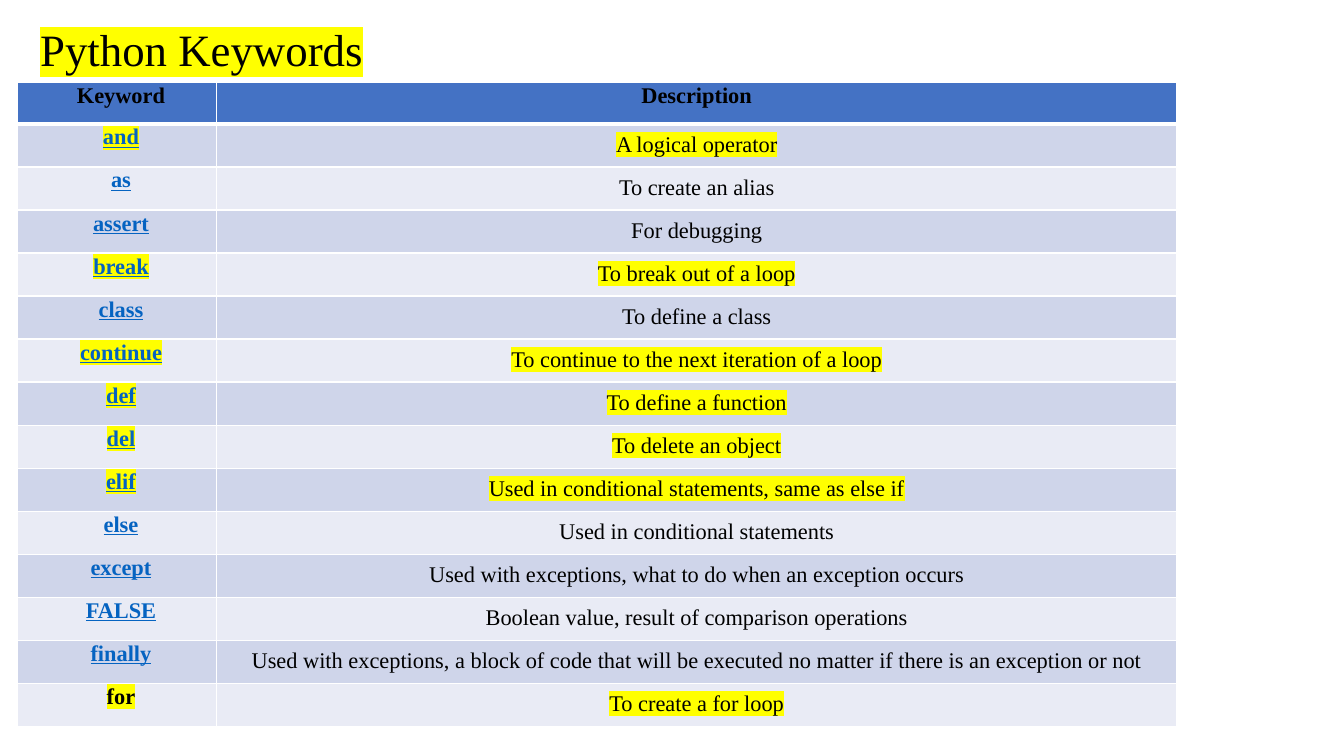
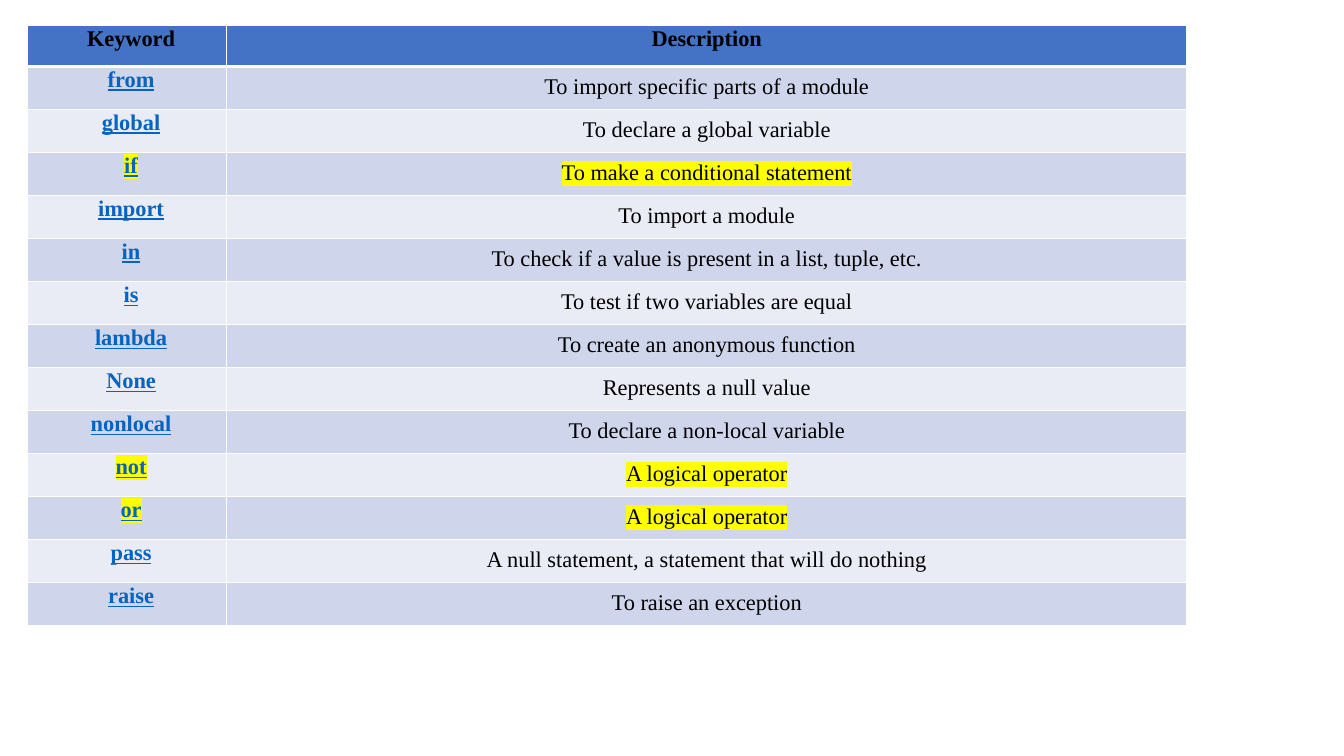
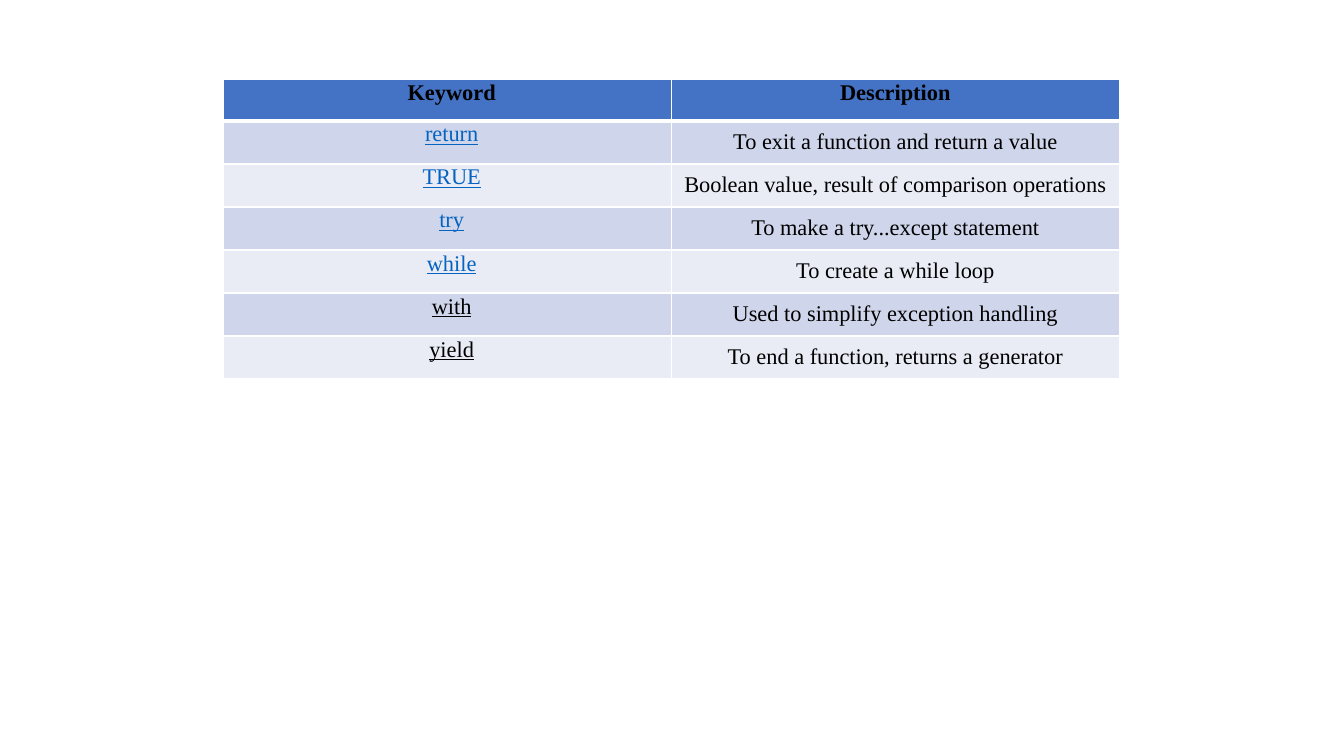
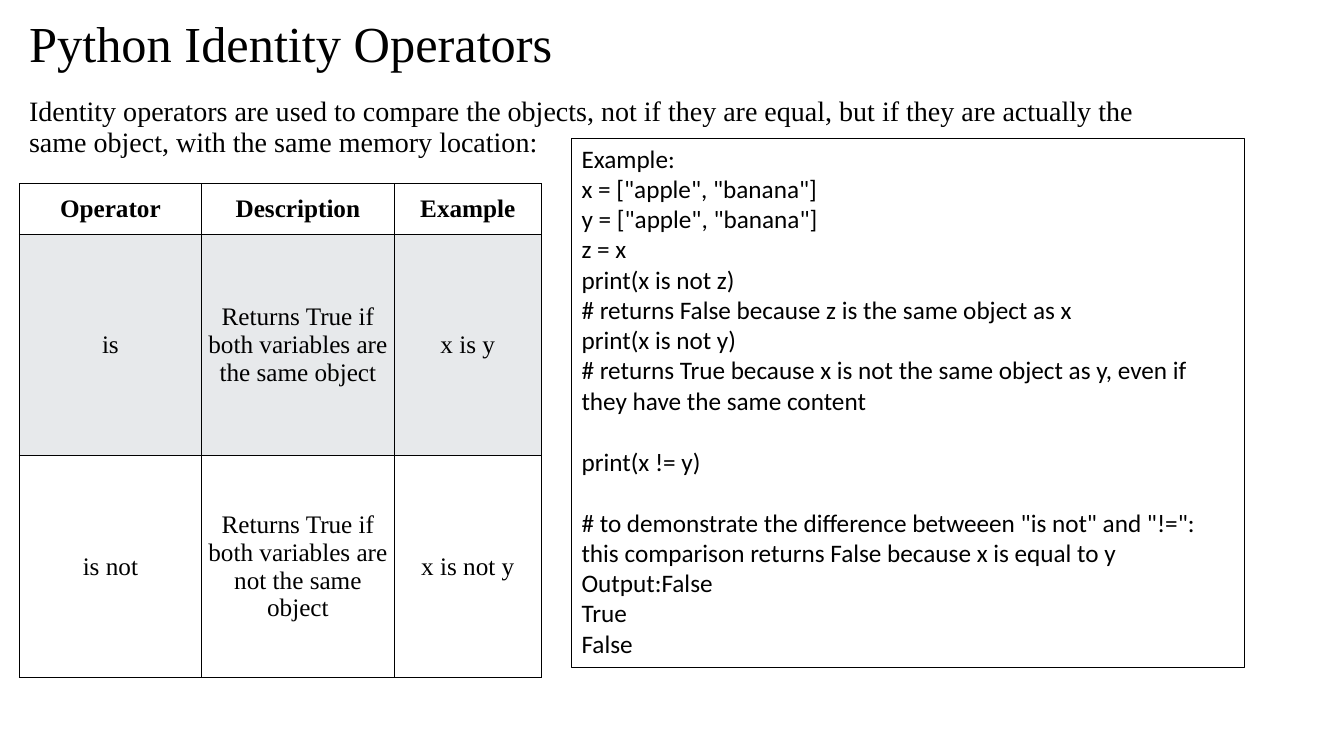
from pptx import Presentation
from pptx.dml.color import RGBColor
from pptx.enum.shapes import MSO_SHAPE
from pptx.enum.text import MSO_ANCHOR as ANCHOR, PP_ALIGN as ALIGN
from pptx.oxml.ns import qn
from pptx.util import Inches, Pt
from lxml.etree import SubElement

BLACK, WHITE, YELLOW = "000000", "FFFFFF", "FFFF00"
LINK, HEADER_BLUE, GREY = "0563C1", "4472C4", "E7E9EB"
BANDS = ("CFD5EA", "E9EBF5")
SERIF, SANS = "Times New Roman", "Calibri"

HIGHLIGHTED = {"and", "break", "continue", "def", "del", "elif", "for",
               "if", "not", "or"}
BLACK_KEYWORDS = {"for", "with", "yield"}

KEYWORDS_AND_TO_FOR = [
    ("and", "A logical operator"),
    ("as", "To create an alias"),
    ("assert", "For debugging"),
    ("break", "To break out of a loop"),
    ("class", "To define a class"),
    ("continue", "To continue to the next iteration of a loop"),
    ("def", "To define a function"),
    ("del", "To delete an object"),
    ("elif", "Used in conditional statements, same as else if"),
    ("else", "Used in conditional statements"),
    ("except", "Used with exceptions, what to do when an exception occurs"),
    ("FALSE", "Boolean value, result of comparison operations"),
    ("finally", "Used with exceptions, a block of code that will be executed "
                "no matter if there is an exception or not"),
    ("for", "To create a for loop"),
]
KEYWORDS_FROM_TO_RAISE = [
    ("from", "To import specific parts of a module"),
    ("global", "To declare a global variable"),
    ("if", "To make a conditional statement"),
    ("import", "To import a module"),
    ("in", "To check if a value is present in a list, tuple, etc."),
    ("is", "To test if two variables are equal"),
    ("lambda", "To create an anonymous function"),
    ("None", "Represents a null value"),
    ("nonlocal", "To declare a non-local variable"),
    ("not", "A logical operator"),
    ("or", "A logical operator"),
    ("pass", "A null statement, a statement that will do nothing"),
    ("raise", "To raise an exception"),
]
KEYWORDS_RETURN_TO_YIELD = [
    ("return", "To exit a function and return a value"),
    ("TRUE", "Boolean value, result of comparison operations"),
    ("try", "To make a try...except statement"),
    ("while", "To create a while loop"),
    ("with", "Used to simplify exception handling"),
    ("yield", "To end a function, returns a generator"),
]
OPERATORS = [
    ("Operator", "Description", "Example"),
    ("is", "Returns True if both variables are the same object", "x is y"),
    ("is not", "Returns True if both variables are not the same object",
     "x is not y"),
]
CODE = [
    "Example:",
    'x = ["apple", "banana"]',
    'y = ["apple", "banana"]',
    "z = x",
    "print(x is not z)",
    "# returns False because z is the same object as x",
    "print(x is not y)",
    "# returns True because x is not the same object as y, even if they have "
    "the same content",
    "print(x != y)",
    '# to demonstrate the difference betweeen "is not" and "!=": this '
    "comparison returns False because x is equal to y",
    "Output:False",
    "True",
    "False",
]
AFTER_GAP = (8, 9)


def rgb(color):
    return RGBColor.from_string(color)


def write(p, text, size=16, font=SERIF, color=BLACK, bold=False,
          underline=False, highlight=None, align=ALIGN.LEFT, spacing=None,
          before=None):
    p.alignment = align
    if spacing:
        p.line_spacing = spacing
    if before:
        p.space_before = Pt(before)
    r = p.add_run()
    r.text = text
    r.font.size = Pt(size)
    r.font.name = font
    r.font.bold = bold
    r.font.underline = underline
    r.font.color.rgb = rgb(color)
    if highlight:
        rpr = r.font._element
        mark = SubElement(rpr, qn("a:highlight"))
        SubElement(mark, qn("a:srgbClr"), val=highlight)
        rpr.find(qn("a:solidFill")).addnext(mark)


def add_text(s, box, text, anchor=ANCHOR.TOP, **fmt):
    tf = s.shapes.add_textbox(*map(Inches, box)).text_frame
    tf.word_wrap = True
    tf.vertical_anchor = anchor
    write(tf.paragraphs[0], text, spacing=0.9, **fmt)


def add_title(s, box, text, **fmt):
    add_text(s, box, text, anchor=ANCHOR.MIDDLE, **fmt)


def add_code_box(s, box, lines):
    sp = s.shapes.add_shape(MSO_SHAPE.RECTANGLE, *map(Inches, box))
    sp.shadow.inherit = False
    sp.fill.background()
    sp.line.color.rgb = rgb(BLACK)
    sp.line.width = Pt(0.75)
    tf = sp.text_frame
    tf.word_wrap = True
    tf.vertical_anchor = ANCHOR.TOP
    for i, line in enumerate(lines):
        p = tf.add_paragraph() if i else tf.paragraphs[0]
        write(p, line, size=18, font=SANS,
              before=22 if i in AFTER_GAP else None)


def add_grid(s, left, top, widths, heights):
    size = map(Inches, (left, top, sum(widths), sum(heights)))
    table = s.shapes.add_table(len(heights), len(widths), *size).table
    table.first_row = table.horz_banding = False
    for column, width in zip(table.columns, widths):
        column.width = Inches(width)
    for row, height in zip(table.rows, heights):
        row.height = Inches(height)
    return table


def fill_cell(cell, text, fill, margins, line, width, top=None, bottom=None,
              anchor=ANCHOR.TOP, **fmt):
    (cell.margin_left, cell.margin_top,
     cell.margin_right, cell.margin_bottom) = map(Inches, margins)
    cell.vertical_anchor = anchor
    tcpr = cell._tc.get_or_add_tcPr()
    sides = {"L": width, "R": width, "T": top or width, "B": bottom or width}
    for side, points in sides.items():
        ln = SubElement(tcpr, qn(f"a:ln{side}"), w=str(Pt(points)))
        SubElement(SubElement(ln, qn("a:solidFill")), qn("a:srgbClr"), val=line)
    cell.fill.solid()
    cell.fill.fore_color.rgb = rgb(fill)
    write(cell.text_frame.paragraphs[0], text, align=ALIGN.CENTER, **fmt)


def add_keyword_table(s, left, top, rows, widths=(1.98, 9.52), bold=True):
    table = add_grid(s, left, top, widths, [0.41] * (len(rows) + 1))
    keyword_margins = (0.09, 0.01, 0.01, 0)
    edge = dict(line=WHITE, width=1)
    for j, (name, margins) in enumerate((("Keyword", keyword_margins),
                                         ("Description", (0.01, 0.01, 0.01, 0)))):
        fill_cell(table.cell(0, j), name, HEADER_BLUE, margins, bottom=3,
                  bold=True, **edge)
    for i, (keyword, description) in enumerate(rows, 1):
        shared = dict(edge, fill=BANDS[(i - 1) % 2], top=3 if i == 1 else None,
                      highlight=YELLOW if keyword in HIGHLIGHTED else None)
        fill_cell(table.cell(i, 0), keyword, margins=keyword_margins, bold=bold,
                  underline=keyword != "for",
                  color=BLACK if keyword in BLACK_KEYWORDS else LINK, **shared)
        fill_cell(table.cell(i, 1), description,
                  margins=(0.01, 0.08, 0.01, 0.08), **shared)


def add_operator_table(s, left, top, rows):
    table = add_grid(s, left, top, (1.81, 1.91, 1.46), (0.5, 2.2, 2.2))
    for i, row in enumerate(rows):
        for j, text in enumerate(row):
            pad = (0.01, 0.08, 0.01, 0.08) if i and j else (0.01, 0.01, 0.01, 0)
            fill_cell(table.cell(i, j), text, GREY if i == 1 else WHITE, pad,
                      BLACK, 0.5, anchor=ANCHOR.MIDDLE, size=18, bold=i == 0)


def main():
    prs = Presentation()
    prs.slide_width, prs.slide_height = Inches(13.33), Inches(7.5)
    blank = prs.slide_layouts[6]

    s = prs.slides.add_slide(blank)
    add_title(s, (0.3, 0.22, 11.5, 0.6), "Python Keywords", size=32,
              highlight=YELLOW)
    add_keyword_table(s, 0.17, 0.82, KEYWORDS_AND_TO_FOR)

    s = prs.slides.add_slide(blank)
    add_keyword_table(s, 0.27, 0.25, KEYWORDS_FROM_TO_RAISE)

    s = prs.slides.add_slide(blank)
    add_keyword_table(s, 2.22, 0.79, KEYWORDS_RETURN_TO_YIELD,
                      widths=(4.44, 4.44), bold=False)

    s = prs.slides.add_slide(blank)
    add_title(s, (0.19, 0.12, 11.5, 0.68), "Python Identity Operators", size=36)
    add_text(s, (0.19, 0.92, 11.5, 0.8),
             "Identity operators are used to compare the objects, not if they "
             "are equal, but if they are actually the same object, with the "
             "same memory location:", size=20)
    add_operator_table(s, 0.19, 1.82, OPERATORS)
    add_code_box(s, (5.67, 1.37, 6.67, 5.25), CODE)

    prs.save("out.pptx")


if __name__ == "__main__":
    main()
